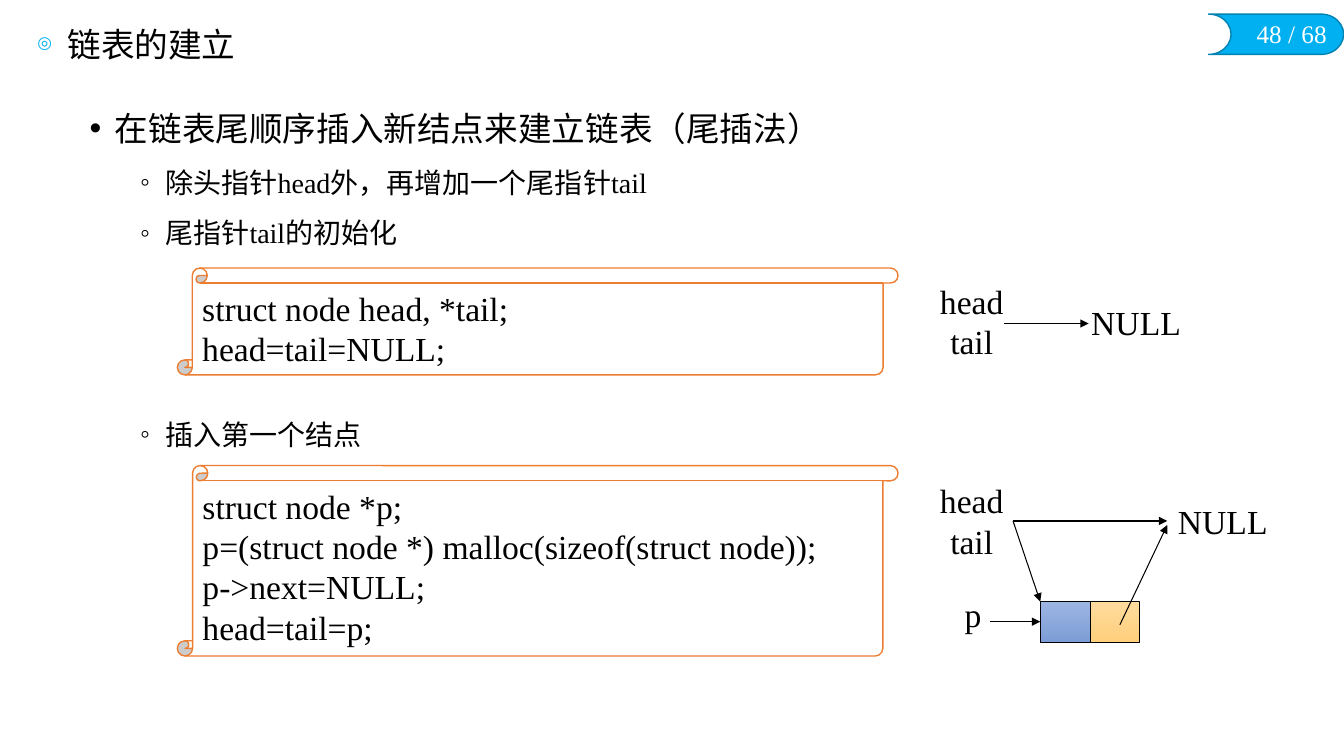
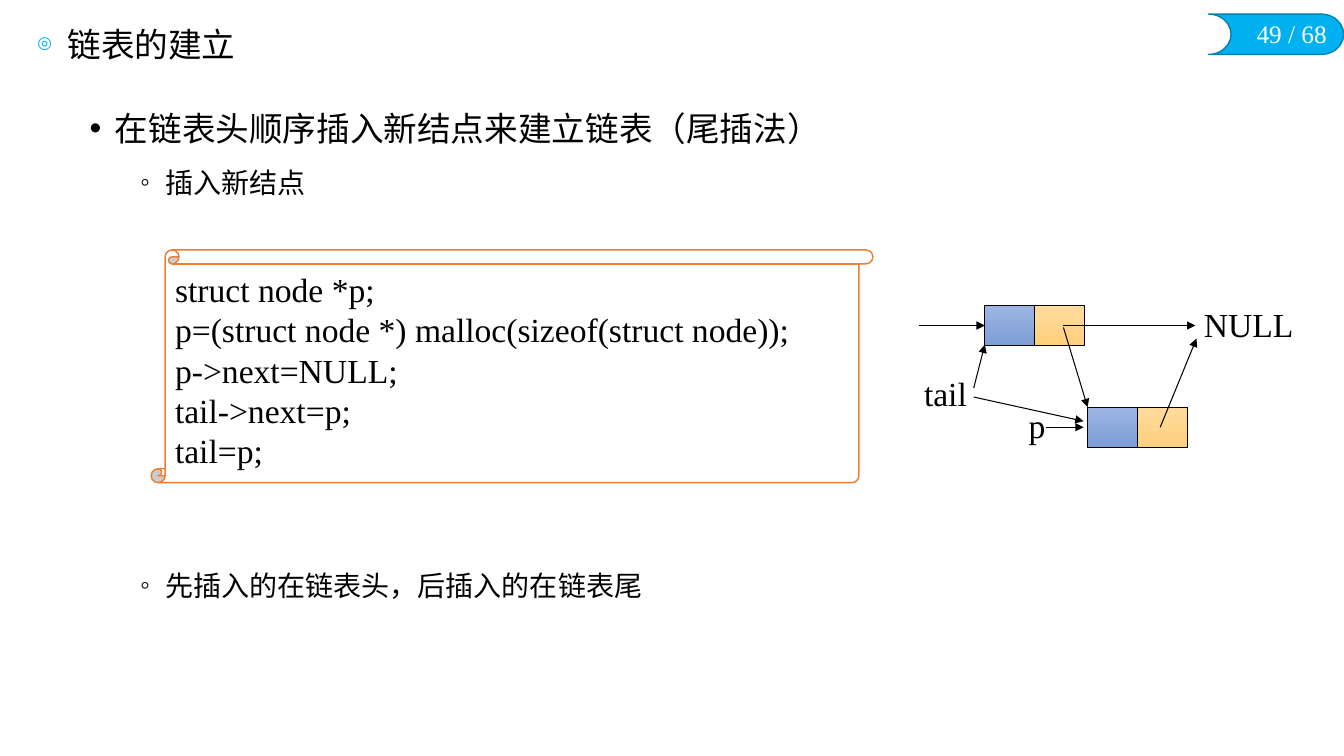
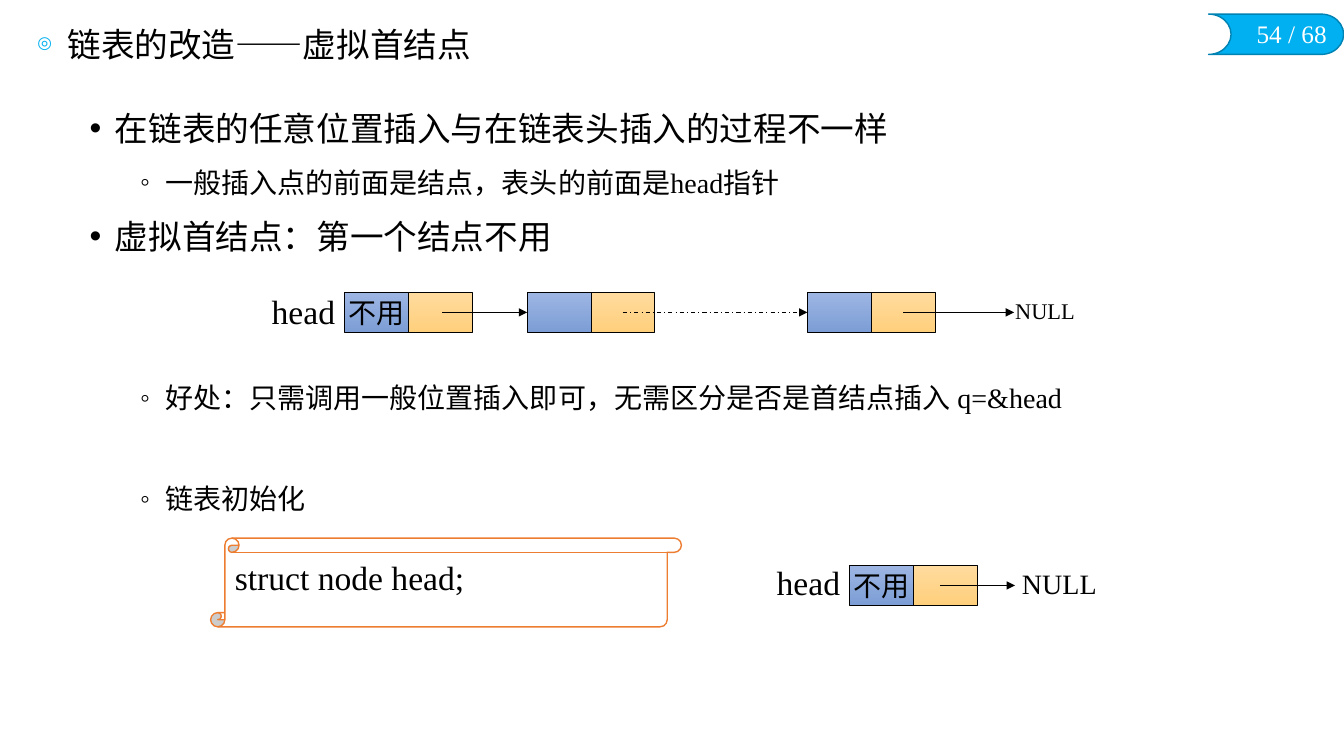
from lxml import etree
from pptx import Presentation
from pptx.dml.color import RGBColor
from pptx.enum.dml import MSO_LINE
from pptx.enum.shapes import MSO_CONNECTOR, MSO_SHAPE
from pptx.enum.text import MSO_ANCHOR, MSO_AUTO_SIZE, PP_ALIGN
from pptx.oxml.ns import qn
from pptx.util import Inches, Pt

STRAIGHT, DASH_DOT = MSO_CONNECTOR.STRAIGHT, MSO_LINE.DASH_DOT
RECT, SCROLL, BADGE = MSO_SHAPE.RECTANGLE, MSO_SHAPE.VERTICAL_SCROLL, MSO_SHAPE.FLOWCHART_STORED_DATA
LEFT, CENTER, RIGHT = PP_ALIGN.LEFT, PP_ALIGN.CENTER, PP_ALIGN.RIGHT
TOP, MIDDLE = MSO_ANCHOR.TOP, MSO_ANCHOR.MIDDLE
NO_FIT = MSO_AUTO_SIZE.NONE

FONT = "Times New Roman"
BLACK, WHITE = RGBColor(0, 0, 0), RGBColor(255, 255, 255)
CYAN, TEAL = RGBColor(0x00, 0xB0, 0xF0), RGBColor(0x00, 0x82, 0xB2)
ORANGE = RGBColor(0xED, 0x7D, 0x31)
DATA_FILL = RGBColor(0x9D, 0xB5, 0xE3), RGBColor(0x7C, 0x9D, 0xD5)
LINK_FILL = RGBColor(0xFF, 0xDB, 0x9E), RGBColor(0xFF, 0xD0, 0x7C)

prs = Presentation()
prs.slide_width, prs.slide_height = Inches(13.33), Inches(7.5)

# Grid: 40 square columns across, 22.5 rows down
CELL = prs.slide_width / 40
NODE_H = 1.2
BLANK = 36  # points of one skipped list line


def grid(*cells):
    return [round(c * CELL) for c in cells]


def write(tf, text, size=24, color=BLACK, align=LEFT, level=0, indent=None,
          bullet=None, bullet_color=None, before=0, after=0, spacing=1):
    p = tf.add_paragraph() if tf.text else tf.paragraphs[0]
    if bullet:
        pPr = p._p.get_or_add_pPr()
        pPr.set("marL", str(Inches(indent[0])))
        pPr.set("indent", str(Inches(indent[1])))
        if bullet_color:
            clr = etree.SubElement(pPr, qn("a:buClr"))
            etree.SubElement(clr, qn("a:srgbClr")).set("val", str(bullet_color))
            etree.SubElement(pPr, qn("a:buSzPct")).set("val", "50000")
        etree.SubElement(pPr, qn("a:buChar")).set("char", bullet)
    p.level, p.alignment, p.line_spacing = level, align, spacing
    p.space_before, p.space_after = Pt(before), Pt(after)
    r = p.add_run()
    r.text = text
    r.font.size, r.font.name, r.font.color.rgb = Pt(size), FONT, color


# Title and list places, set once in the layout
layout = prs.slide_layouts[1]
for ph, place in zip(layout.placeholders, [(0.81, 0.69, 19.11, 1.38), (2.37, 3.07, 35.13, 18.21)]):
    ph.left, ph.top, ph.width, ph.height = grid(*place)

# items: level, text, skipped lines before
# scrolls: x, y, w, h, roll size, code
# nodes: x, y, cell width, text
# labels: text, centre x, centre y, size
# arrows: x1, y1, x2, y2, dash
SLIDES = [
    dict(
        page=48, title="链表的建立",
        items=[(0, "在链表尾顺序插入新结点来建立链表（尾插法）", 0),
               (1, "除头指针head外，再增加一个尾指针tail", 0),
               (1, "尾指针tail的初始化", 0),
               (1, "插入第一个结点", 3)],
        scrolls=[(5.28, 7.98, 21.45, 3.18, 0.14,
                  ["struct node head, *tail;", "head=tail=NULL;"]),
                 (5.28, 13.86, 21.45, 5.67, 0.08,
                  ["struct node *p;", "p=(struct node *) malloc(sizeof(struct node));",
                   "p->next=NULL;", "head=tail=p;"])],
        nodes=[(30.96, 17.91, 1.48, "")],
        labels=[("head\ntail", 28.92, 9.55, 24), ("NULL", 33.81, 9.6, 24),
                ("head\ntail", 28.92, 15.5, 24), ("NULL", 36.39, 15.52, 24),
                ("p", 28.96, 18.27, 24)],
        arrows=[(29.88, 9.63, 32.4, 9.63, None), (30.15, 15.51, 34.74, 15.51, None),
                (30.15, 15.51, 30.96, 17.91, None), (33.33, 18.6, 34.74, 15.63, None),
                (29.46, 18.51, 30.96, 18.51, None)]),
    dict(
        page=49, title="链表的建立",
        items=[(0, "在链表头顺序插入新结点来建立链表（尾插法）", 0),
               (1, "插入新结点", 0),
               (1, "先插入的在链表头，后插入的在链表尾", 7)],
        scrolls=[(4.5, 7.44, 21.48, 6.93, 0.06,
                  ["struct node *p;", "p=(struct node *) malloc(sizeof(struct node));",
                   "p->next=NULL;", "tail->next=p;", "tail=p;"])],
        nodes=[(29.31, 9.09, 1.48, ""), (32.37, 12.12, 1.48, "")],
        labels=[("NULL", 37.16, 9.65, 24), ("tail", 28.14, 11.7, 24), ("p", 30.86, 12.66, 24)],
        arrows=[(27.36, 9.69, 29.31, 9.69, None), (31.65, 9.69, 35.58, 9.69, None),
                (31.65, 9.75, 32.37, 12.12, None), (28.98, 11.55, 29.31, 10.26, None),
                (28.98, 11.82, 32.25, 12.54, None), (31.14, 12.72, 32.25, 12.72, None),
                (34.53, 12.72, 35.61, 10.08, None)]),
    dict(
        page=54, title="链表的改造——虚拟首结点",
        items=[(0, "在链表的任意位置插入与在链表头插入的过程不一样", 0),
               (1, "一般插入点的前面是结点，表头的前面是head指针", 0),
               (0, "虚拟首结点：第一个结点不用", 0),
               (1, "好处：只需调用一般位置插入即可，无需区分是否是首结点插入 q=&head", 2.14),
               (1, "链表初始化", 1)],
        scrolls=[(6.27, 16.02, 14.01, 2.64, 0.16, ["struct node head;"])],
        nodes=[(10.26, 8.7, 1.9, "不用"), (15.69, 8.7, 1.9, ""), (24.03, 8.7, 1.9, ""),
               (25.29, 16.83, 1.9, "不用")],
        labels=[("head", 9.03, 9.25, 24), ("NULL", 31.1, 9.26, 16),
                ("head", 24.06, 17.34, 24), ("NULL", 31.53, 17.36, 20)],
        arrows=[(13.17, 9.3, 15.69, 9.3, None), (18.54, 9.3, 24.03, 9.3, DASH_DOT),
                (26.88, 9.3, 30.18, 9.3, None), (27.99, 17.43, 30.21, 17.43, None)]),
]

for data in SLIDES:
    s = prs.slides.add_slide(layout)

    # Page badge
    sp = s.shapes.add_shape(BADGE, *grid(35.97, 0.42, 4.02, 1.2))
    sp.shadow.inherit = False
    sp._element.spPr.get_or_add_xfrm().set("flipH", "1")
    sp.fill.solid()
    sp.fill.fore_color.rgb = CYAN
    sp.line.color.rgb, sp.line.width = TEAL, Pt(1)
    tf = s.shapes.add_textbox(*grid(36.93, 0.4, 2.85, 1.2)).text_frame
    tf.word_wrap = True
    write(tf, f"{data['page']} / 68", size=18, color=WHITE, align=RIGHT)

    # Title
    tf = s.shapes.title.text_frame
    tf.auto_size, tf.vertical_anchor = NO_FIT, MIDDLE
    write(tf, data["title"], bullet="◎", bullet_color=CYAN, indent=(0.3, -0.3), spacing=0.9)

    # List
    tf = s.placeholders[1].text_frame
    tf.auto_size, tf.vertical_anchor = NO_FIT, TOP
    for i, (level, text, skipped) in enumerate(data["items"]):
        write(tf, text, size=(24, 20)[level], level=level, bullet="•◦"[level],
              indent=(0.25 + 0.5 * level, -0.25),
              before=6 + BLANK * skipped if i else 0, after=6)

    # Code scrolls
    for x, y, w, h, roll, code in data["scrolls"]:
        sp = s.shapes.add_shape(SCROLL, *grid(x, y, w, h))
        sp.shadow.inherit = False
        sp.adjustments[0] = roll
        sp.fill.solid()
        sp.fill.fore_color.rgb = WHITE
        sp.line.color.rgb, sp.line.width = ORANGE, Pt(1)
        sp.text_frame.vertical_anchor = TOP
        for text in code:
            write(sp.text_frame, text)

    # List nodes: a data cell and a link cell side by side
    targets = {}
    for x, y, w, text in data["nodes"]:
        for col, (fill, label) in enumerate([(DATA_FILL, text), (LINK_FILL, "")]):
            sp = s.shapes.add_shape(RECT, *grid(x + col * w, y, w, NODE_H))
            sp.shadow.inherit = False
            sp.fill.gradient()
            sp.fill.gradient_angle = 270
            for stop, color in zip(sp.fill.gradient_stops, fill):
                stop.color.rgb = color
            sp.line.color.rgb, sp.line.width = BLACK, Pt(0.5)
            if label:
                sp.text_frame.word_wrap = False
                sp.text_frame.vertical_anchor = MIDDLE
                write(sp.text_frame, label, size=20, align=CENTER)
            if col == 0:
                targets[x, round(y + NODE_H / 2, 2)] = sp

    # Pointer labels: no side margins, width by letter count
    for text, cx, cy, size in data["labels"]:
        lines = text.split("\n")
        w, h = 0.03 * size * len(lines[0]), 0.3 + 1.2 * len(lines)
        tf = s.shapes.add_textbox(*grid(cx - w / 2, cy - h / 2, w, h)).text_frame
        tf.margin_left = tf.margin_right = 0
        tf.word_wrap, tf.vertical_anchor = False, MIDDLE
        for line in lines:
            write(tf, line, size=size, align=CENTER)

    # Arrows, joined where they meet the left side of a node
    for x1, y1, x2, y2, dash in data["arrows"]:
        c = s.shapes.add_connector(STRAIGHT, *grid(x1, y1, x2, y2))
        c.line.color.rgb, c.line.width = BLACK, Pt(0.75)
        if dash:
            c.line.dash_style = dash
        etree.SubElement(c.line._get_or_add_ln(), qn("a:tailEnd")).set("type", "triangle")
        etree.SubElement(c._element.spPr, qn("a:effectLst"))
        if (x2, y2) in targets:
            c.end_connect(targets[x2, y2], 1)

prs.save("out.pptx")
